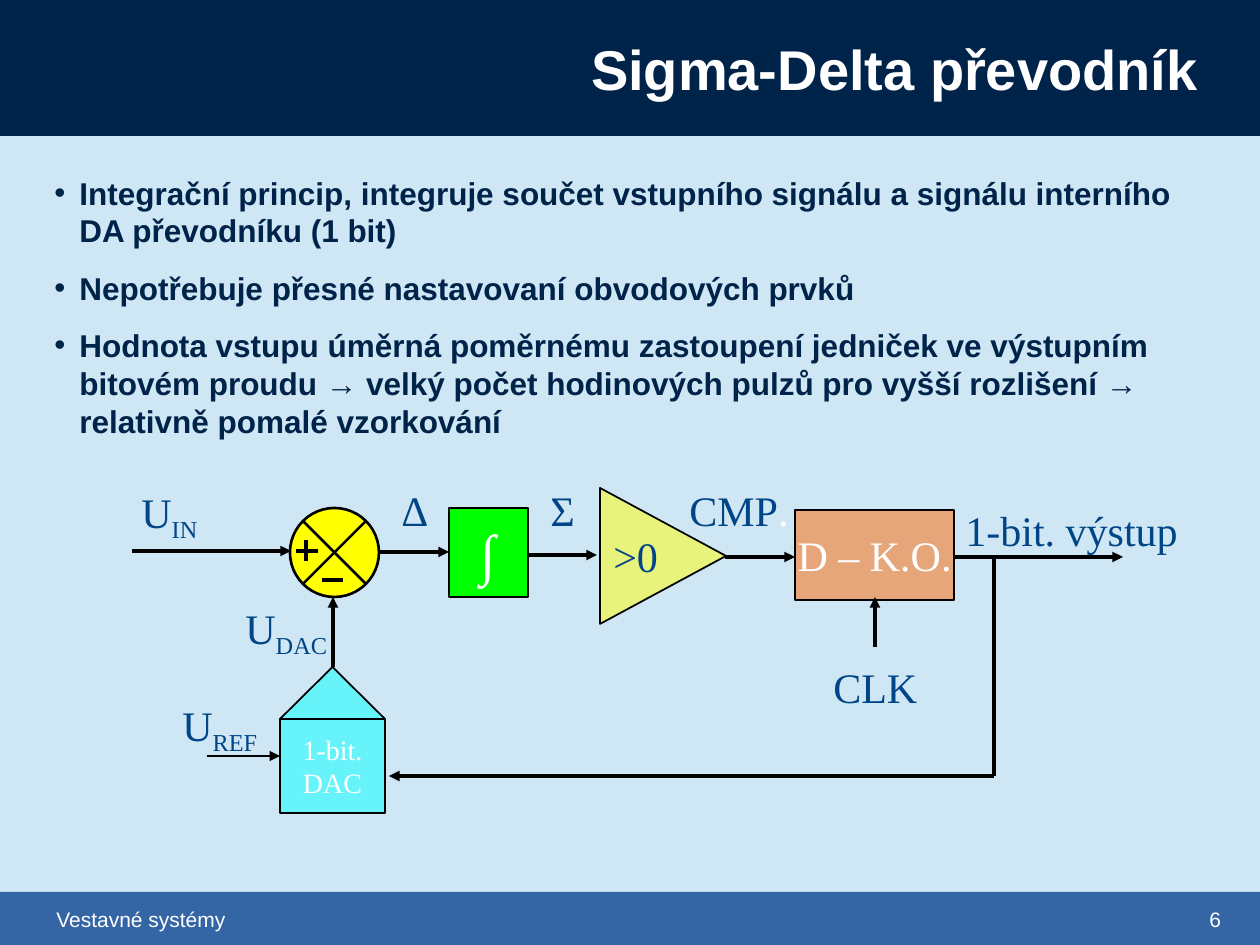
from lxml.etree import SubElement
from pptx import Presentation
from pptx.dml.color import RGBColor
from pptx.enum.shapes import MSO_CONNECTOR, MSO_SHAPE
from pptx.enum.text import MSO_ANCHOR, PP_ALIGN
from pptx.oxml.ns import qn
from pptx.util import Pt

SCALE = 914400 / 126
NAVY, BLUE, INK, WHITE, BLACK = "00234A", "3465A4", "004586", "FFFFFF", "000000"
SERIF = "Times New Roman"

deck = Presentation()
deck.slide_width, deck.slide_height = round(1260 * SCALE), round(945 * SCALE)
slide = deck.slides.add_slide(deck.slide_layouts[6])
slide.background.fill.solid()
slide.background.fill.fore_color.rgb = RGBColor.from_string("CFE7F5")


def block(kind, box, hue, width=0, alpha=100):
    """Add a filled shape; alpha is opacity in percent."""
    shape = slide.shapes.add_shape(kind, *[round(n * SCALE) for n in box])
    shape.shadow.inherit = False
    shape.fill.solid()
    shape.fill.fore_color.rgb = RGBColor.from_string(hue)
    if alpha < 100:
        color = shape.fill._xPr.find(".//" + qn("a:srgbClr"))
        SubElement(color, qn("a:alpha"), val=str(alpha * 1000))
    if width:
        shape.line.color.rgb = RGBColor.from_string(BLACK)
        shape.line.width = Pt(width)
    else:
        shape.line.fill.background()
    return shape


def write(place, words, size, hue, font=SERIF, bold=False, wrap=False,
          align=PP_ALIGN.LEFT, anchor=MSO_ANCHOR.MIDDLE):
    """Put text in a shape, or in a new text box if place is a tuple."""
    if isinstance(place, tuple):
        place = slide.shapes.add_textbox(*[round(n * SCALE) for n in place])
    frame = place.text_frame
    frame.text = words
    frame.word_wrap = wrap
    frame.vertical_anchor = anchor
    for para in frame.paragraphs:
        para.alignment = align
        for run in para.runs:
            run.font.name, run.font.size, run.font.bold = font, Pt(size), bold
            run.font.color.rgb = RGBColor.from_string(hue)
    return frame


# Title and footer bars
block(MSO_SHAPE.RECTANGLE, (0, 0, 1260, 136), NAVY)
block(MSO_SHAPE.RECTANGLE, (0, 892, 1260, 53), BLUE)
write((1197, 900, 63, 38), "6", 12, WHITE, "Arial")
write((44, 900, 1050, 38), "Vestavné systémy", 12, WHITE, "Arial")
write((39, 0, 1172, 137), "Sigma-Delta převodník", 32, WHITE, "Arial", True,
      True, PP_ALIGN.RIGHT)

# Bullets
points = [
    "Integrační princip, integruje součet vstupního signálu a signálu "
    "interního DA převodníku (1 bit)",
    "Nepotřebuje přesné nastavovaní obvodových prvků",
    "Hodnota vstupu úměrná poměrnému zastoupení jedniček ve výstupním "
    "bitovém proudu → velký počet hodinových pulzů pro vyšší rozlišení → "
    "relativně pomalé vzorkování",
]
body = write((42, 157, 1176, 299), "\n".join(points), 18, NAVY, "Arial", True, True)
for spot, para in enumerate(body.paragraphs):
    para.space_before = Pt(11.2 if spot else 0)
    props = para._p.get_or_add_pPr()
    props.set("marL", str(round(25 * SCALE)))
    props.set("indent", str(round(-25 * SCALE)))
    SubElement(props, qn("a:buFont"), typeface="Arial")
    SubElement(props, qn("a:buChar"), char="•")

# Blocks of the converter
gate = block(MSO_SHAPE.ISOSCELES_TRIANGLE, (595, 493, 136, 126), "FFFF00", 1, 50)
gate.rotation = 90
block(MSO_SHAPE.FLOWCHART_SUMMING_JUNCTION, (290, 508, 89, 89), "FFFF00", 1.5)
block(MSO_SHAPE.ISOSCELES_TRIANGLE, (280, 667, 105, 52), "00FFFF", 1, 50)
for box, hue, alpha, words, size, bold in [
    ((280, 719, 105, 94), "00FFFF", 50, "1-bit.\nDAC", 16, False),
    ((449, 508, 79, 89), "00FF00", 100, "∫", 32, True),
    ((795, 510, 159, 90), "FF6600", 50, "D – K.O.", 24, False),
]:
    part = block(MSO_SHAPE.RECTANGLE, box, hue, 1, alpha)
    label = write(part, words, size, WHITE, bold=bold, align=PP_ALIGN.CENTER)
    label.margin_left = label.margin_right = 0

# Wires: start, end, width, arrowhead
for x1, y1, x2, y2, width, head in [
    (132, 551, 291, 551, 2, True),
    (379, 552, 449, 552, 2, True),
    (528, 555, 597, 555, 2, True),
    (725, 557, 795, 557, 2, True),
    (955, 557, 994, 557, 2, False),
    (994, 557, 1123, 557, 2, True),
    (994, 557, 994, 776, 2, False),
    (994, 776, 389, 776, 2, True),
    (333, 667, 333, 597, 2, True),
    (207, 756, 280, 756, 0.75, True),
    (875, 647, 875, 597, 2, True),
    (296, 551, 318, 551, 2, False),
    (306, 540, 306, 561, 2, False),
    (322, 580, 343, 580, 2, False),
]:
    wire = slide.shapes.add_connector(
        MSO_CONNECTOR.STRAIGHT, *[round(n * SCALE) for n in (x1, y1, x2, y2)])
    wire.line.color.rgb = RGBColor.from_string(BLACK)
    wire.line.width = Pt(width)
    if head:
        SubElement(wire.line._ln, qn("a:tailEnd"), type="triangle")
    SubElement(wire._element.spPr, qn("a:effectLst"))

# Signal names, some with a subscript
for box, words, sub in [
    ((129, 480, 81, 71), "U", "IN"),
    ((233, 596, 107, 71), "U", "DAC"),
    ((170, 693, 100, 71), "U", "REF"),
    ((953, 498, 260, 63), "1-bit. výstup", ""),
    ((601, 524, 89, 63), ">0", ""),
    ((389, 478, 49, 63), "Δ", ""),
    ((538, 478, 49, 63), "Σ", ""),
    ((821, 655, 115, 63), "CLK", ""),
    ((677, 478, 130, 63), "CMP", "."),
]:
    frame = write(box, words, 24, INK, anchor=MSO_ANCHOR.TOP)
    if sub:
        run = frame.paragraphs[0].add_run()
        run.text = sub
        run.font.name, run.font.size = SERIF, Pt(24)
        run.font.color.rgb = RGBColor.from_string(WHITE if sub == "." else INK)
        if sub != ".":
            run.font._element.set("baseline", "-25000")

deck.save("out.pptx")
